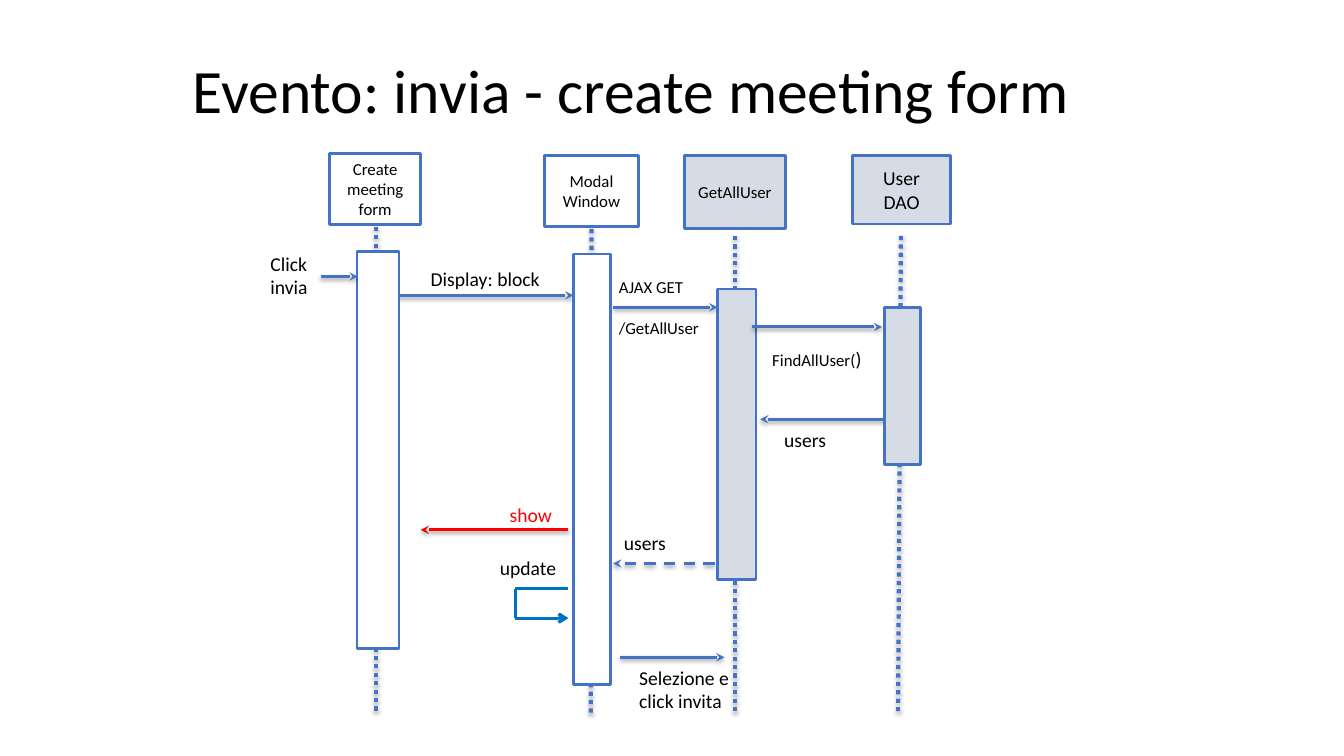
import pptx
import pptx.util
import pptx.dml.color
import pptx.enum.dml
import pptx.enum.shapes
import pptx.enum.text
import pptx.oxml
import pptx.oxml.ns

Pt = pptx.util.Pt
ALIGN = pptx.enum.text.PP_ALIGN
ANCHOR = pptx.enum.text.MSO_ANCHOR
DASH = pptx.enum.dml.MSO_LINE

COLORS = {"blue": "4472C4", "server": "D6DCE5", "client": "FFFFFF",
          "text": "000000", "red": "FF0000", "loop": "0070C0"}

HEADS = [
    (["GetAllUser"], "server", 12, (309, 1, 72, 52), (332.5, 96.5, 27.5, 207.5), (345, 345, 58.5)),
    (["User", "DAO"], "server", 14, (429, 1, 70, 49), (451.5, 109.5, 26, 112.5), (463.5, 461.5, 58.5)),
    (["Modal Window"], "client", 12, (209, 1, 67, 51), (229.5, 71.5, 26.5, 307.5), (242.5, 242, 53.5)),
    (["Create meeting form"], "client", 12, (55.5, -0.5, 65, 51), (75, 69.5, 30, 283.5), (88.5, 88.5, 52)),
]
BACK_MESSAGES = [
    (258, 332.5, 109.5, "blue", None),
    (458, 363, 189.5, "blue", None),
    (87, 229.5, 101, "blue", None),
    (330.5, 258, 292.5, "blue", DASH.DASH),
]
FRONT_MESSAGES = [
    (357, 450, 123.5, "blue", None),
    (49, 75.5, 87.5, "blue", None),
    (226, 120.5, 268.5, "red", None),
    (263, 337.5, 359.5, "blue", None),
]
LABELS = [
    ([[("AJAX GET", 12)], [("/GetAllUser", 12)]], (253.5, 83.5, 85, 75.5), "text", 14.6),
    ([[("users", 14)]], (371.5, 191, 78, 24.5), "text", 0),
    ([[("FindAllUser(", 12), (")", 14)]], (363, 133.5, 95, 47), "text", 0),
    ([[("users", 14)]], (257, 265, 75.5, 36), "text", 0),
    ([[("Click", 14)], [("invia", 14)]], (4.5, 65.5, 78.5, 35.5), "text", 0),
    ([[("update", 14)]], (168.5, 282.5, 60.5, 24.5), "text", 0),
    ([[("show", 14)]], (175.5, 245, 88.5, 24.5), "red", 0),
    ([[("Selezione e click invita", 14)]], (268, 361, 103.5, 47.5), "text", 0),
    ([[("Display: block", 14)]], (119, 76, 101, 21), "text", 0),
]


def rgb(name):
    return pptx.dml.color.RGBColor.from_string(COLORS[name])


def set_attrs(obj, formats):
    for name, value in formats.items():
        setattr(obj, name, value)


def place(box, part):
    x, y, w, h = part
    return [Pt(v) for v in (box[0] + x, box[1] + y, w, h)]


def write(tf, paragraphs, color, align, anchor, gap=0):
    set_attrs(tf, {"word_wrap": True, "auto_size": pptx.enum.text.MSO_AUTO_SIZE.NONE,
                   "vertical_anchor": anchor,
                   "margin_left": Pt(8.6), "margin_right": Pt(8.6),
                   "margin_top": Pt(4.3), "margin_bottom": Pt(4.3)})
    for i, runs in enumerate(paragraphs):
        p = tf.add_paragraph() if i else tf.paragraphs[0]
        p.alignment = align
        if i:
            p.space_before = Pt(gap)
        for text, size in runs:
            r = p.add_run()
            r.text = text
            set_attrs(r.font, {"size": Pt(size), "name": "Calibri"})
            r.font.color.rgb = rgb(color)


def connector(shapes, box, start, end, color, width, dash=None, head=None, shadow=None):
    x, y = box[:2]
    c = shapes.add_connector(
        pptx.enum.shapes.MSO_CONNECTOR.STRAIGHT,
        Pt(x + start[0]), Pt(y + start[1]), Pt(x + end[0]), Pt(y + end[1]))
    c.line.color.rgb = rgb(color)
    c.line.width = Pt(width)
    if dash:
        c.line.dash_style = dash
    ns = pptx.oxml.ns.nsdecls("a")
    if head:
        c.line._get_or_add_ln().append(
            pptx.oxml.parse_xml(f'<a:tailEnd {ns} type="{head}"/>'))
    effect = ""
    if shadow:
        distance, alpha = shadow
        effect = (f'<a:outerShdw blurRad="{Pt(3.1)}" dist="{Pt(distance)}" dir="5400000" '
                  f'rotWithShape="0"><a:srgbClr val="{COLORS["text"]}">'
                  f'<a:alpha val="{alpha * 1000}"/></a:srgbClr></a:outerShdw>')
    c._element.spPr.append(
        pptx.oxml.parse_xml(f"<a:effectLst {ns}>{effect}</a:effectLst>"))


def rectangle(s, box, part, fill):
    sp = s.shapes.add_shape(pptx.enum.shapes.MSO_SHAPE.RECTANGLE, *place(box, part))
    sp.shadow.inherit = False
    sp.fill.solid()
    sp.fill.fore_color.rgb = rgb(fill)
    sp.line.color.rgb = rgb("blue")
    sp.line.width = Pt(2)
    return sp


def title(s, box, text):
    sp = s.shapes.title
    set_attrs(sp, dict(zip(("left", "top", "width", "height"), place(box, (0, 0, *box[2:])))))
    write(sp.text_frame, [[(text, 44)]], "text", ALIGN.LEFT, ANCHOR.MIDDLE)
    sp.text_frame.paragraphs[0].line_spacing = 0.9


def lifeline(s, box, lines, fill, size, head, bar, dots):
    x1, x2, top = dots
    connector(s.shapes, box, (x1, top), (x2, box[3]), "blue", 3,
              DASH.ROUND_DOT, shadow=(1.8, 35))
    sp = rectangle(s, box, head, fill)
    write(sp.text_frame, [[(line, size)] for line in lines], "text",
          ALIGN.CENTER, ANCHOR.MIDDLE)
    rectangle(s, box, bar, fill)


def messages(s, box, items):
    for x1, x2, y, color, dash in items:
        connector(s.shapes, box, (x1, y), (x2, y), color, 2, dash, "stealth", (1.6, 38))


def self_message(s, box):
    w, h = box[2:]
    corners = [(w, 0), (0, 0), (0, h), (w, h)]
    group = s.shapes.add_group_shape()
    for start, end, head in zip(corners, corners[1:], (None, None, "arrow")):
        connector(group.shapes, box, start, end, "loop", 2.25, head=head)


def labels(s, box):
    for paragraphs, part, color, gap in LABELS:
        sp = s.shapes.add_textbox(*place(box, part))
        write(sp.text_frame, paragraphs, color, ALIGN.LEFT, ANCHOR.TOP, gap)


def sequence_diagram(s, box):
    messages(s, box, BACK_MESSAGES)
    for head in HEADS:
        lifeline(s, box, *head)
    messages(s, box, FRONT_MESSAGES)
    self_message(s, (box[0] + 188, box[1] + 310.5, 38, 21))
    labels(s, box)


def main():
    prs = pptx.Presentation()
    prs.slide_width, prs.slide_height = Pt(960), Pt(540)
    s = prs.slides.add_slide(prs.slide_layouts[5])
    title(s, (129, 21.5, 702, 90), "Evento: invia - create meeting form")
    sequence_diagram(s, (180, 110, 510, 400.5))
    prs.save("out.pptx")


if __name__ == "__main__":
    main()
